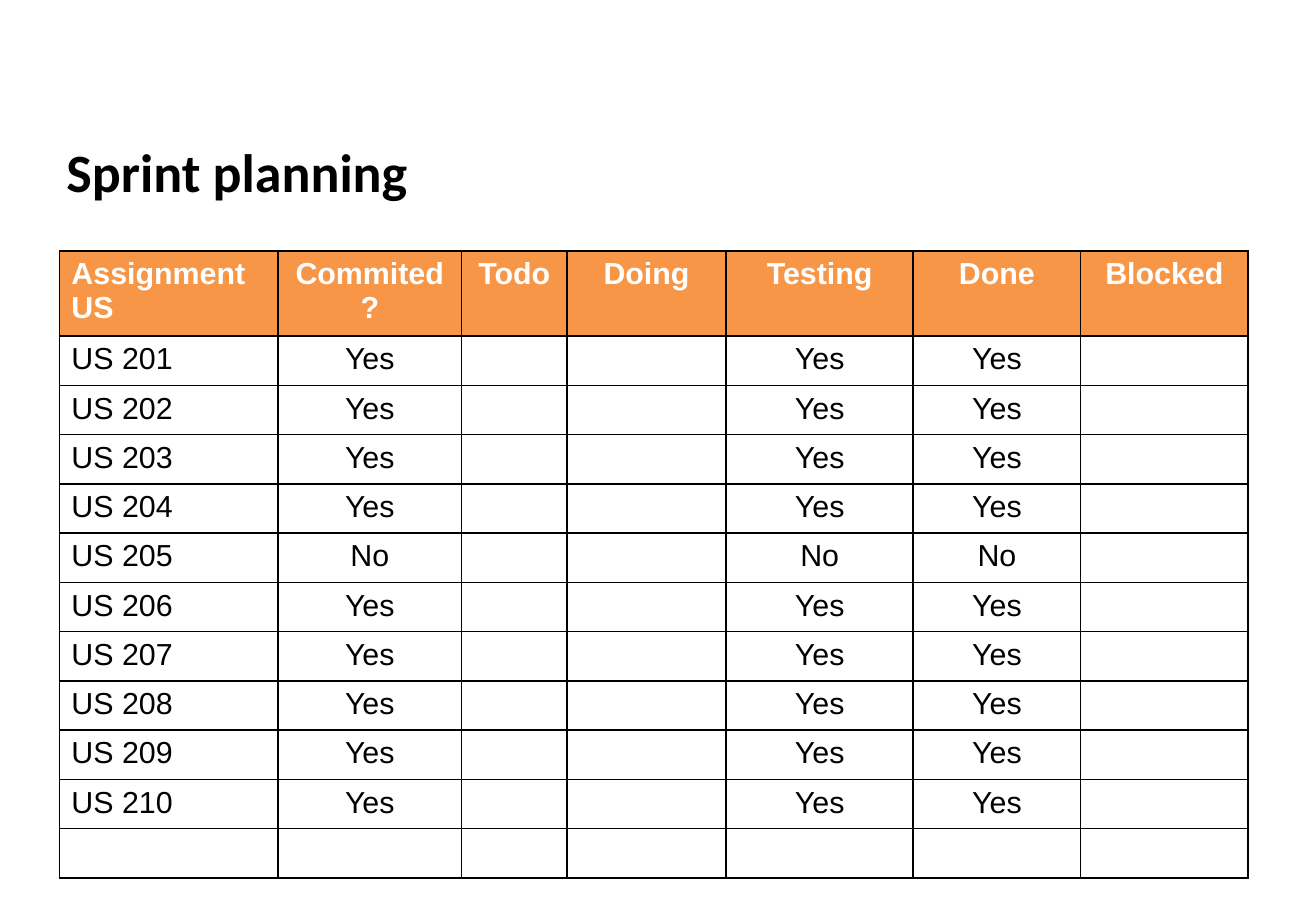
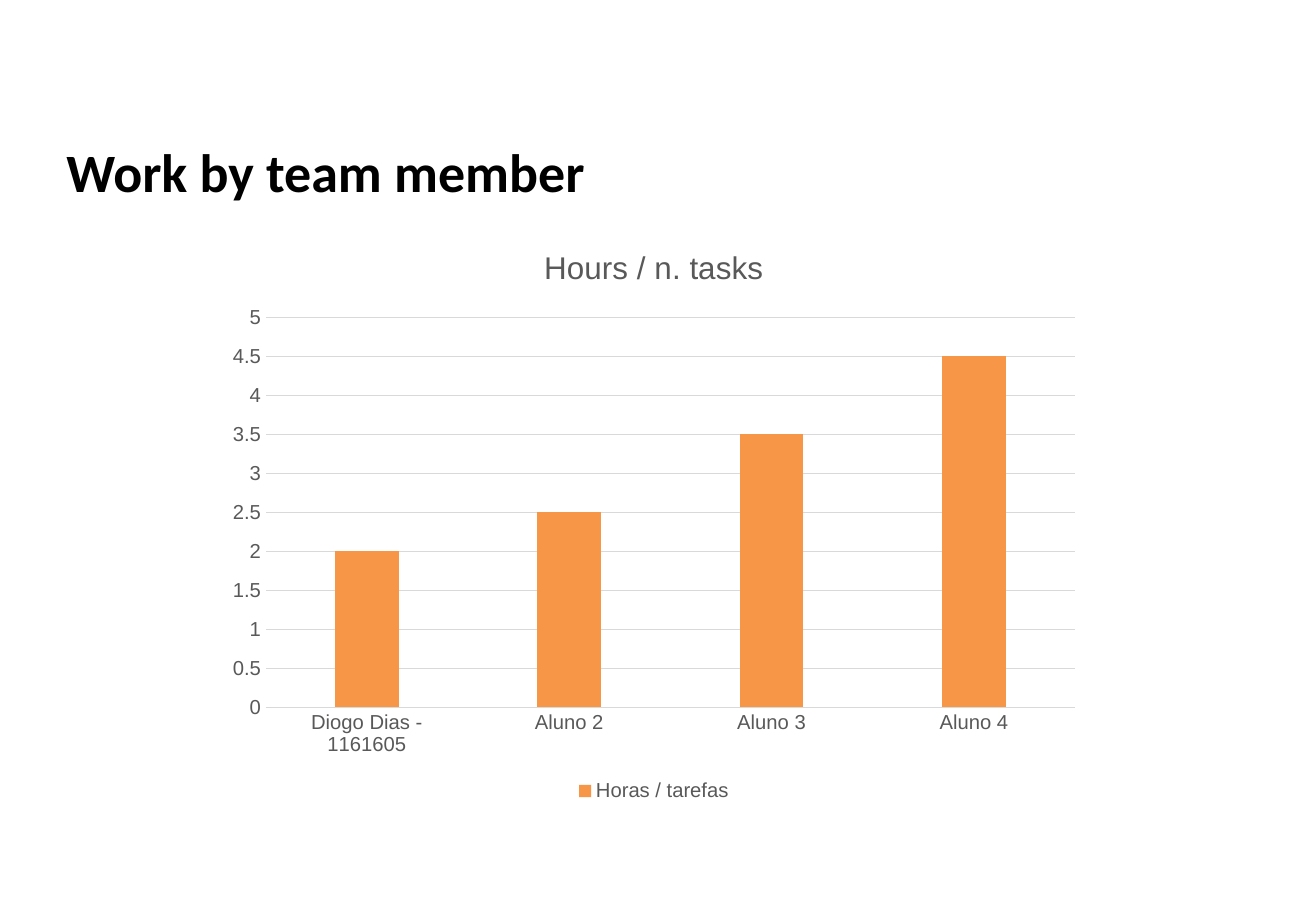
from dataclasses import dataclass

from lxml.etree import SubElement
from pptx import Presentation
from pptx.chart.axis import CategoryAxis, ValueAxis
from pptx.chart.data import CategoryChartData
from pptx.dml.color import RGBColor
from pptx.dml.fill import FillFormat
from pptx.enum.chart import XL_CHART_TYPE, XL_LEGEND_POSITION, XL_TICK_MARK
from pptx.enum.text import PP_ALIGN
from pptx.oxml.ns import qn
from pptx.slide import Slide
from pptx.table import _Cell
from pptx.text.text import Font
from pptx.util import Cm, Pt

ORANGE = "F79646"
BLACK = "000000"
WHITE = "FFFFFF"
GREY = "595959"
PALE = "D9D9D9"


@dataclass(frozen=True)
class Column:
    head: str
    width: float
    marked: bool = False


COLUMNS = [
    Column("Assignment US", 4.57),
    Column("Commited?", 3.84, True),
    Column("Todo", 2.2),
    Column("Doing", 3.33),
    Column("Testing", 3.91, True),
    Column("Done", 3.5, True),
    Column("Blocked", 3.5),
]
STORIES = range(201, 211)
MISSED = {205}
HOURS = {"Diogo Dias - 1161605": 2, "Aluno 2": 2.5, "Aluno 3": 3.5, "Aluno 4": 4.5}


def paint(fill: FillFormat, color: str) -> None:
    fill.solid()
    fill.fore_color.rgb = RGBColor.from_string(color)


def style(font: Font, size: float, color: str, bold: bool = False,
          face: str = "Arial") -> None:
    font.name, font.size, font.bold = face, Pt(size), bold
    font.color.rgb = RGBColor.from_string(color)


def add_title(slide: Slide, text: str, width: float) -> None:
    box = slide.shapes.add_textbox(Cm(1.14), Cm(2.77), Cm(width), Cm(1.6))
    frame = box.text_frame
    frame.word_wrap = True
    frame.text = text
    style(frame.paragraphs[0].runs[0].font, 32, BLACK, True, "Calibri")


def add_border(cell: _Cell) -> None:
    """Draw a 1 pt black line on all four sides; call before filling the cell."""
    props = cell._tc.get_or_add_tcPr()
    for side in ("lnL", "lnR", "lnT", "lnB"):
        line = SubElement(props, qn(f"a:{side}"), w=str(Pt(1)))
        fill = SubElement(line, qn("a:solidFill"))
        SubElement(fill, qn("a:srgbClr"), val=BLACK)


def fill_cell(cell: _Cell, text: str, head: bool, center: bool) -> None:
    add_border(cell)
    paint(cell.fill, ORANGE if head else WHITE)
    cell.text_frame.text = text
    para = cell.text_frame.paragraphs[0]
    para.alignment = PP_ALIGN.CENTER if center else PP_ALIGN.LEFT
    style(para.font, 18, WHITE if head else BLACK, head)
    for run in para.runs:
        style(run.font, 18, WHITE if head else BLACK, head)


def story_row(story: int) -> list[str]:
    mark = "No" if story in MISSED else "Yes"
    return [f"US {story}"] + [mark if col.marked else "" for col in COLUMNS[1:]]


def add_plan(slide: Slide) -> None:
    rows = [[col.head for col in COLUMNS], *map(story_row, STORIES), [""] * len(COLUMNS)]
    width = sum(col.width for col in COLUMNS)
    height = 1.03
    table = slide.shapes.add_table(len(rows), len(COLUMNS), Cm(1.24), Cm(5.25),
                                   Cm(width), Cm(height * len(rows))).table
    for part, col in zip(table.columns, COLUMNS):
        part.width = Cm(col.width)
    for r, row in enumerate(rows):
        table.rows[r].height = Cm(height)
        for c, text in enumerate(row):
            fill_cell(table.cell(r, c), text, r == 0, c > 0)


def style_axis(axis: CategoryAxis | ValueAxis) -> None:
    axis.major_tick_mark = axis.minor_tick_mark = XL_TICK_MARK.NONE
    style(axis.tick_labels.font, 12, GREY)


def add_hours(slide: Slide) -> None:
    data = CategoryChartData()
    data.categories = list(HOURS)
    data.add_series("Horas / tarefas", list(HOURS.values()))
    chart = slide.shapes.add_chart(XL_CHART_TYPE.COLUMN_CLUSTERED, Cm(4.5), Cm(4.65),
                                   Cm(18.34), Cm(12.22), data).chart
    style(chart.font, 10, BLACK)

    chart.has_title = True
    title = chart.chart_title.text_frame
    title.text = "Hours / n. tasks"
    style(title.paragraphs[0].runs[0].font, 18.6, GREY)

    chart.has_legend = True
    chart.legend.position = XL_LEGEND_POSITION.BOTTOM
    chart.legend.include_in_layout = False
    style(chart.legend.font, 12, GREY)

    names, scale = chart.category_axis, chart.value_axis
    style_axis(names)
    style_axis(scale)
    scale.format.line.fill.background()
    scale.has_major_gridlines = True
    for line in (names.format.line, scale.major_gridlines.format.line):
        paint(line.fill, PALE)
        line.width = Pt(0.75)

    plot = chart.plots[0]
    plot.gap_width, plot.overlap = 219, -27
    plot.vary_by_categories = False
    paint(plot.series[0].format.fill, ORANGE)


def main() -> None:
    deck = Presentation()
    deck.slide_width, deck.slide_height = Cm(27.51), Cm(19.05)
    blank = deck.slide_layouts[6]

    plan = deck.slides.add_slide(blank)
    add_title(plan, "Sprint planning", 25.6)
    add_plan(plan)

    work = deck.slides.add_slide(blank)
    add_title(work, "Work by team member", 25.12)
    add_hours(work)

    deck.save("out.pptx")


if __name__ == "__main__":
    main()
